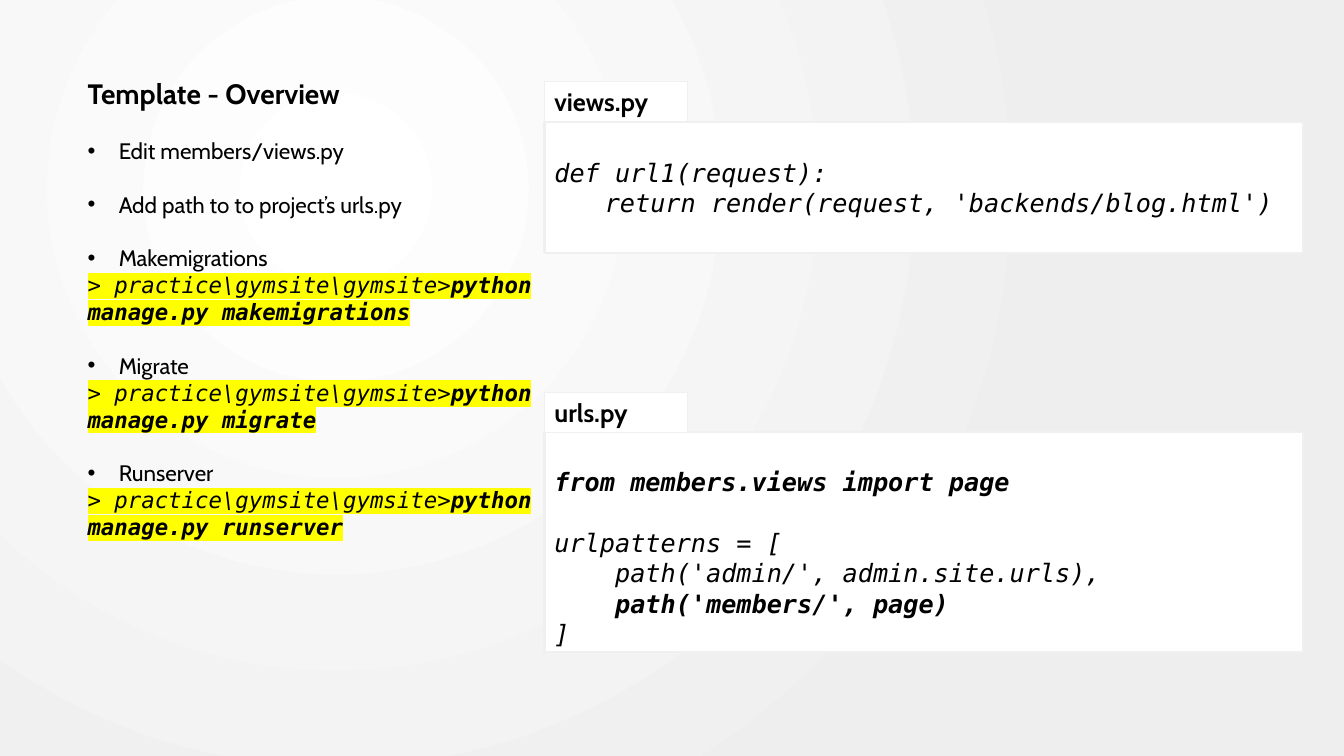
from lxml import etree
from pptx import Presentation
from pptx.dml.color import RGBColor
from pptx.enum.shapes import MSO_SHAPE as Shape
from pptx.enum.text import MSO_ANCHOR as Anchor, PP_ALIGN as Align
from pptx.oxml.ns import qn
from pptx.util import Inches, Pt

COLORS = {"text": "000000", "panel": "FFFFFF", "border": "F0F0F0",
          "highlight": "FFFF00", "glow": "FFFFFF", "edge": "EEEEEE"}
SANS, MONO = "Cabin", "DejaVu Sans Mono"
CODE_LINE = 21.7
STEPS = [
    ("Edit members/views.py", None),
    ("Add path to to project’s urls.py", None),
    ("Makemigrations", "makemigrations"),
    ("Migrate", "migrate"),
    ("Runserver", "runserver"),
]
# Each code line: text, bold, left indent in inches, blank lines before it
VIEWS_CODE = [
    ("def url1(request):", False, 0, 0),
    ("return render(request, 'backends/blog.html')", False, 0.5, 0),
]
URLS_CODE = [
    ("from members.views import page", True, 0, 0),
    ("urlpatterns = [", False, 0, 1),
    ("    path('admin/', admin.site.urls),", False, 0, 0),
    ("    path('members/', page)", True, 0, 0),
    ("]", False, 0, 0),
]


def rgb(name):
    return RGBColor.from_string(COLORS[name])


def add_run(paragraph, text, size=16, font=SANS, bold=False, italic=False, highlight=None):
    run = paragraph.add_run()
    run.text = text
    run.font.size, run.font.bold, run.font.italic = Pt(size), bold, italic
    run.font.color.rgb = rgb("text")
    if highlight:
        mark = etree.SubElement(run._r.get_or_add_rPr(), qn("a:highlight"))
        etree.SubElement(mark, qn("a:srgbClr"), val=COLORS[highlight])
    run.font.name = font


def new_paragraph(frame, before=0, left=0.0, bullet=False):
    """Return the empty first paragraph of a frame, or a further one."""
    first = frame.paragraphs[0]
    paragraph = frame.add_paragraph() if first.runs else first
    paragraph.alignment = Align.LEFT
    if before:
        paragraph.space_before = Pt(before)
    properties = paragraph._p.get_or_add_pPr()
    if left:
        properties.set("marL", str(Inches(left)))
    if bullet:
        properties.set("indent", str(-Inches(left)))
        etree.SubElement(properties, qn("a:buFont"), typeface="Arial")
        etree.SubElement(properties, qn("a:buChar"), char="•")
    return paragraph


def paint_background(slide):
    """Fill the slide with a circular gradient centred in its upper left."""
    fill = slide.background.fill
    fill.gradient()
    for stop, name, position in zip(fill.gradient_stops, ("glow", "edge"), (0, 1)):
        stop.color.rgb = rgb(name)
        stop.position = position
    gradient = slide._element.find(".//" + qn("a:gradFill"))
    linear = gradient.find(qn("a:lin"))
    circle = etree.Element(qn("a:path"), path="circle")
    etree.SubElement(circle, qn("a:fillToRect"), l="50000", t="50000", r="100000", b="100000")
    gradient.replace(linear, circle)


def add_overview(slide, left, top, width, height):
    box = slide.shapes.add_textbox(Inches(left), Inches(top), Inches(width), Inches(height))
    frame = box.text_frame
    frame.word_wrap = True
    add_run(new_paragraph(frame), "Template - Overview", size=20, bold=True)
    for label, command in STEPS:
        add_run(new_paragraph(frame, before=19.2, left=0.31, bullet=True), label)
        if command:
            paragraph = new_paragraph(frame)
            code_format = {"font": MONO, "italic": True, "highlight": "highlight"}
            add_run(paragraph, "> practice\\gymsite\\gymsite>", **code_format)
            add_run(paragraph, f"python manage.py {command}", bold=True, **code_format)


def add_panel(group, left, top, width, height, border):
    panel = group.shapes.add_shape(
        Shape.RECTANGLE, Inches(left), Inches(top), Inches(width), Inches(height))
    panel.shadow.inherit = False
    panel.fill.solid()
    panel.fill.fore_color.rgb = rgb("panel")
    panel.line.color.rgb = rgb("border")
    panel.line.width = Pt(border)
    panel.text_frame.word_wrap = True
    return panel.text_frame


def add_code_file(slide, name, lines, left, top, width, height, inset=0.05):
    """Place a file-name tab with its code panel below it."""
    tab_height = 0.4
    group = slide.shapes.add_group_shape()
    code = add_panel(group, left, top + tab_height, width, height - tab_height, 1.5)
    code.vertical_anchor = Anchor.MIDDLE
    code.margin_top = Inches(inset)
    for text, bold, indent, blanks in lines:
        paragraph = new_paragraph(code, before=blanks * CODE_LINE, left=indent)
        paragraph.line_spacing = Pt(CODE_LINE)
        add_run(paragraph, text, size=18, font=MONO, bold=bold, italic=True)
    tab = add_panel(group, left, top, 1.42, tab_height, 0.75)
    tab.vertical_anchor = Anchor.TOP
    add_run(new_paragraph(tab), name, size=18, bold=True)


def main():
    presentation = Presentation()
    presentation.slide_width, presentation.slide_height = Inches(13.33), Inches(7.5)
    slide = presentation.slides.add_slide(presentation.slide_layouts[6])
    paint_background(slide)
    add_overview(slide, 0.77, 0.71, 4.63, 5.01)
    add_code_file(slide, "views.py", VIEWS_CODE, 5.4, 0.81, 7.52, 1.7)
    add_code_file(slide, "urls.py", URLS_CODE, 5.4, 3.89, 7.52, 2.58, inset=0.35)
    presentation.save("out.pptx")


if __name__ == "__main__":
    main()
